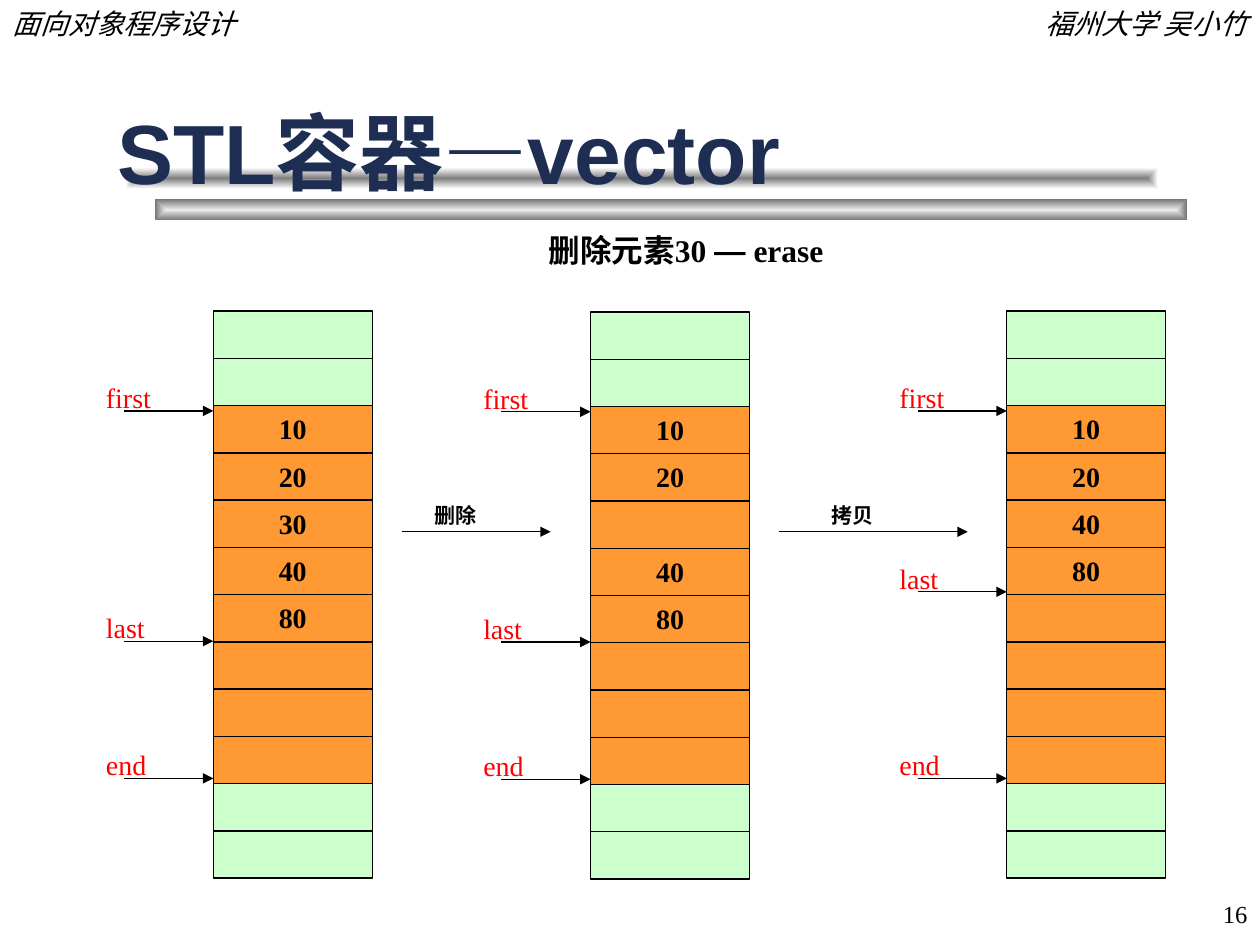
from lxml import etree
from pptx import Presentation
from pptx.dml.color import RGBColor
from pptx.enum.shapes import MSO_CONNECTOR, MSO_SHAPE
from pptx.enum.text import MSO_ANCHOR, MSO_AUTO_SIZE, PP_ALIGN
from pptx.oxml.ns import qn
from pptx.util import Pt

STRAIGHT = MSO_CONNECTOR.STRAIGHT
RECTANGLE = MSO_SHAPE.RECTANGLE
TOP, MIDDLE = MSO_ANCHOR.TOP, MSO_ANCHOR.MIDDLE
LEFT, CENTER, RIGHT = PP_ALIGN.LEFT, PP_ALIGN.CENTER, PP_ALIGN.RIGHT
NO_AUTOFIT = MSO_AUTO_SIZE.NONE

BLACK = RGBColor(0x00, 0x00, 0x00)
WHITE = RGBColor(0xFF, 0xFF, 0xFF)
NAVY = RGBColor(0x1E, 0x2E, 0x53)
RED = RGBColor(0xFF, 0x00, 0x00)
ORANGE = RGBColor(0xFF, 0x99, 0x33)
GREEN = RGBColor(0xCC, 0xFF, 0xCC)
SILVER = RGBColor(0xEA, 0xEA, 0xEA)
GRAY = RGBColor(0x75, 0x75, 0x75)
MID_GRAY = RGBColor(0x7F, 0x7F, 0x7F)

SERIF, SANS = "Times New Roman", "Arial"
CELL_WIDTH, CELL_HEIGHT = 90.8, 27
USED_ROWS = range(2, 10)
FIRST_Y, END_Y = 57, 267
POINTER_WIDTH = 42


def format_span(span, size, color=BLACK, bold=False, italic=False, name=SERIF):
    font = span.font
    font.size, font.name = Pt(size), name
    font.bold, font.italic = bold, italic
    font.color.rgb = color


def add_label(page, box, text, size, align=LEFT, wrap=False, anchor=TOP, **style):
    label = page.shapes.add_textbox(*map(Pt, box))
    frame = label.text_frame
    frame.word_wrap = wrap
    frame.vertical_anchor = anchor
    frame.text = text
    para = frame.paragraphs[0]
    para.alignment = align
    format_span(para.runs[0], size, **style)
    return para


def add_arrow(page, start, end, y):
    arrow = page.shapes.add_connector(STRAIGHT, Pt(start), Pt(y), Pt(end), Pt(y))
    arrow.line.color.rgb = BLACK
    arrow.line.width = Pt(0.75)
    outline = arrow.element.spPr.find(qn("a:ln"))
    etree.SubElement(outline, qn("a:tailEnd"), type="triangle")
    etree.SubElement(arrow.element.spPr, qn("a:effectLst"))


def add_bar(group, box, center, edge):
    bar = group.shapes.add_shape(RECTANGLE, *map(Pt, box))
    bar.shadow.inherit = False
    bar.line.fill.background()
    bar.fill.gradient()
    for stop, position, color in zip(bar.fill.gradient_stops, (0, 1), (center, edge)):
        stop.position = position
        stop.color.rgb = color
    gradient = bar.element.spPr.find(qn("a:gradFill"))
    gradient.remove(gradient.find(qn("a:lin")))
    shade = etree.Element(qn("a:path"), path="rect")
    sides = dict.fromkeys("ltrb", "50000")
    etree.SubElement(shade, qn("a:fillToRect"), **sides)
    gradient.find(qn("a:gsLst")).addnext(shade)


def add_heading(page, left, top, width, height):
    bars = page.shapes.add_group_shape()
    add_bar(bars, (left + 28.8, top + 53.3, 589.7, 12.2), SILVER, GRAY)
    add_bar(bars, (left + 12.2, top + 35.3, 589.7, 12.2), MID_GRAY, WHITE)

    title = page.shapes.title
    title.left, title.top, title.width, title.height = map(Pt, (left, top, width, height))
    title.element.getparent().append(title.element)
    frame = title.text_frame
    frame.text = "STL容器—vector"
    frame.auto_size = NO_AUTOFIT
    frame.vertical_anchor = MIDDLE
    para = frame.paragraphs[0]
    para.alignment = LEFT
    format_span(para.runs[0], 48, NAVY, bold=True, name=SANS)

    para = add_label(page, (left + 246.7, top + 67.7, 176.5, 28.8),
                     "删除元素30 ", 18, bold=True)
    for text, name in (("—", SANS), (" erase", SERIF)):
        span = para.add_run()
        span.text = text
        format_span(span, 18, bold=True, name=name)


def add_margins(page, width, height):
    add_label(page, (0, 0, 222, 26.6), "面向对象程序设计", 16, wrap=True, italic=True)
    add_label(page, (width - 222, 0, 222, 26.6), "福州大学 吴小竹", 16,
              align=RIGHT, wrap=True, italic=True)
    add_label(page, (width - 150, height - 36, 150, 36), "16", 14,
              align=RIGHT, anchor=MIDDLE)


def add_vector(page, left, top, values, last_y):
    for row in range(12):
        cell = page.shapes.add_shape(RECTANGLE, Pt(left), Pt(top + row * CELL_HEIGHT),
                                     Pt(CELL_WIDTH), Pt(CELL_HEIGHT))
        cell.shadow.inherit = False
        cell.fill.solid()
        cell.fill.fore_color.rgb = ORANGE if row in USED_ROWS else GREEN
        cell.line.color.rgb = BLACK
        cell.line.width = Pt(0.75)
        value = values.get(row)
        if value:
            frame = cell.text_frame
            frame.vertical_anchor = TOP
            frame.text = value
            para = frame.paragraphs[0]
            para.alignment = CENTER
            format_span(para.runs[0], 16, bold=True)

    for name, y in (("first", FIRST_Y), ("last", last_y), ("end", END_Y)):
        add_arrow(page, left - 51, left, top + y)
        add_label(page, (left - 68.4, top + y - 21, POINTER_WIDTH, 26.6),
                  name, 16, color=RED)


def add_step(page, left, width, y, text, indent):
    add_arrow(page, left, left + width, y)
    add_label(page, (left + indent, y - 20.2, 38.5, 21.6), text, 12, bold=True)


def main():
    deck = Presentation()
    deck.slide_width, deck.slide_height = Pt(720), Pt(540)
    page = deck.slides.add_slide(deck.slide_layouts[5])
    add_heading(page, 59.8, 60.5, 612, 51.8)
    add_margins(page, 720, 540)
    add_vector(page, 121.9, 177.8, {2: "10", 3: "20", 4: "30", 5: "40", 6: "80"}, 188.6)
    add_vector(page, 337.5, 178.3, {2: "10", 3: "20", 5: "40", 6: "80"}, 188.6)
    add_vector(page, 575.3, 177.8, {2: "10", 3: "20", 4: "40", 5: "80"}, 160.4)
    add_step(page, 229.7, 85, 303.9, "删除", 11.5)
    add_step(page, 445, 108, 303.9, "拷贝", 23)
    deck.save("out.pptx")


if __name__ == "__main__":
    main()
